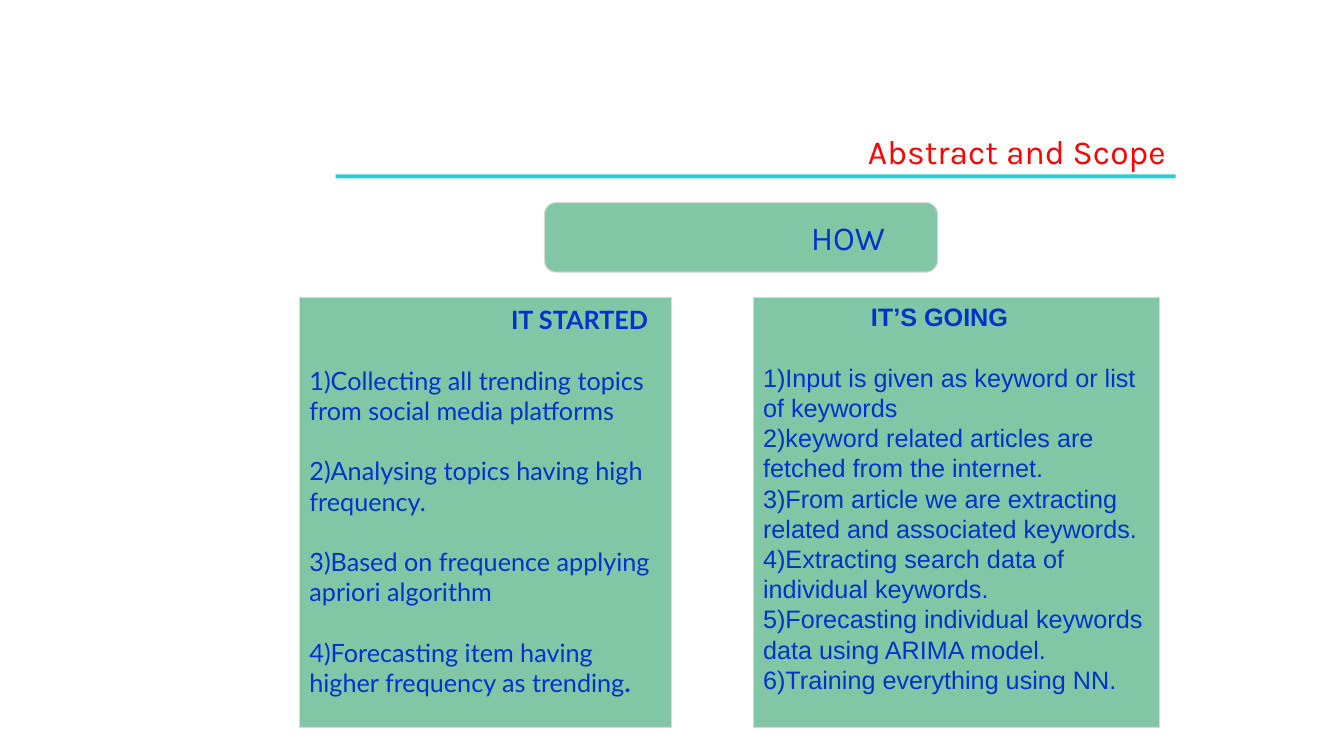
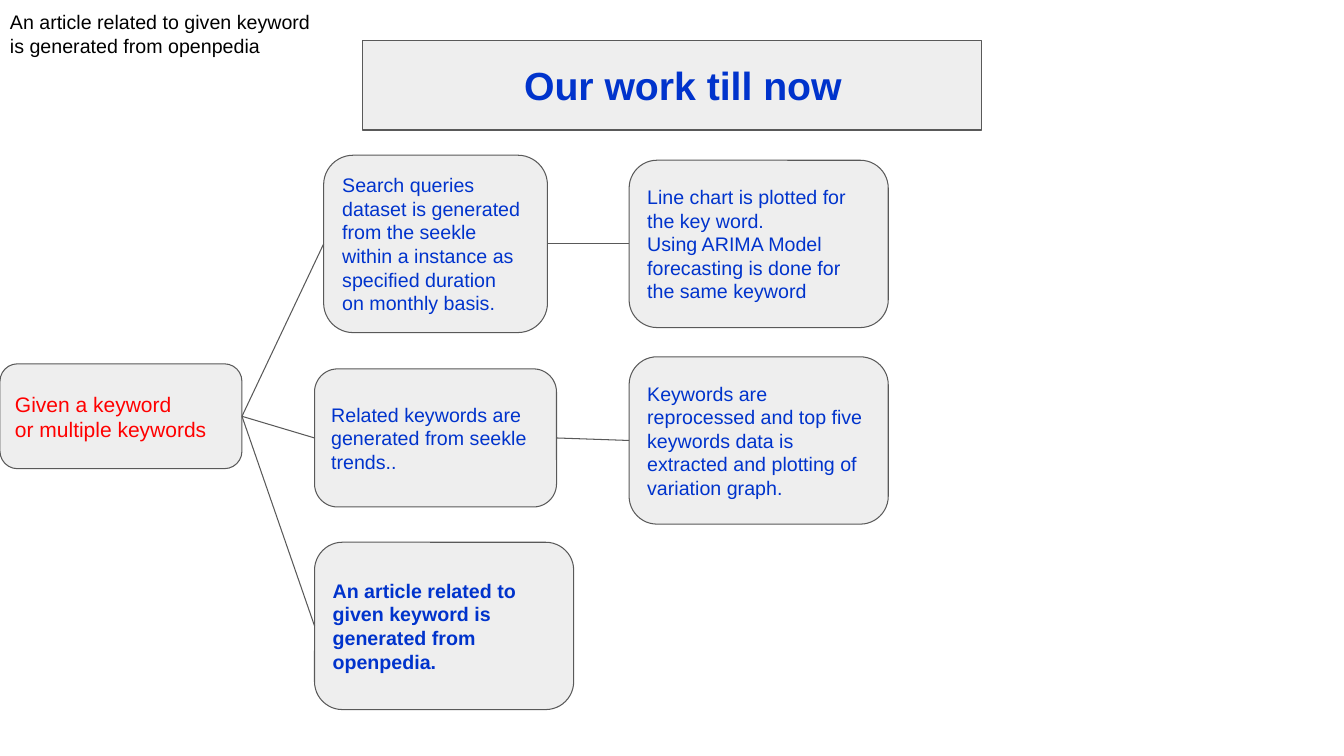
from dataclasses import dataclass

from pptx import Presentation
from pptx.dml.color import RGBColor
from pptx.enum.shapes import MSO_CONNECTOR as Link, MSO_SHAPE as Shape
from pptx.enum.text import MSO_ANCHOR as Anchor, PP_ALIGN as Align
from pptx.oxml.ns import qn
from pptx.util import Emu, Pt
from lxml.etree import SubElement

PX = 9144  # EMU in one px, 100 px to the inch
LINE_HEIGHT = 1.2
COLORS = {
    "blue": "0033CC", "red": "FF0000", "black": "000000", "teal": "33CCCC",
    "green": "82C7A5", "silver": "D9D9D9", "gray": "EEEEEE", "dark": "595959",
}


@dataclass(frozen=True)
class Para:
    text: str
    bold: bool = False
    indent: int = 0
    gap: bool = False  # one empty line's height below
    tail: str = ""  # bold ending


@dataclass(frozen=True)
class Font:
    size: int
    name: str = "Arial"
    color: str = "blue"


@dataclass(frozen=True)
class Box:
    left: int
    top: int
    width: int
    height: int
    paras: tuple[Para, ...]
    font: Font
    fill: str = "gray"
    line: str = "dark"
    kind: int = Shape.ROUNDED_RECTANGLE
    anchor: int = Anchor.MIDDLE
    inset_top: int = 10


def px(n: int) -> Emu:
    return Emu(n * PX)


def rgb(name: str) -> RGBColor:
    return RGBColor.from_string(COLORS[name])


def lines(*texts: str, bold: bool = False) -> tuple[Para, ...]:
    return tuple(Para(t, bold) for t in texts)


def add_run(p, text: str, font: Font, bold: bool) -> None:
    r = p.add_run()
    r.text = text
    r.font.size, r.font.name, r.font.bold = Pt(font.size), font.name, bold
    r.font.color.rgb = rgb(font.color)


def write(s, paras: tuple[Para, ...], font: Font, align=Align.LEFT,
          anchor=Anchor.TOP, inset_top: int = 10) -> None:
    tf = s.text_frame
    tf.word_wrap = True
    tf.vertical_anchor = anchor
    tf.margin_left = tf.margin_right = tf.margin_bottom = px(10)
    tf.margin_top = px(inset_top)
    for i, para in enumerate(paras):
        p = tf.add_paragraph() if i else tf.paragraphs[0]
        p.alignment = align
        p.line_spacing = Pt(font.size * LINE_HEIGHT)
        if para.gap:
            p.space_after = Pt(font.size * LINE_HEIGHT)
        if para.indent:
            p._p.get_or_add_pPr().set("marL", str(px(para.indent)))
        add_run(p, para.text, font, para.bold)
        if para.tail:
            add_run(p, para.tail, font, True)


def add_box(slide, box: Box):
    s = slide.shapes.add_shape(box.kind, px(box.left), px(box.top),
                               px(box.width), px(box.height))
    s.shadow.inherit = False
    s.fill.solid()
    s.fill.fore_color.rgb = rgb(box.fill)
    s.line.color.rgb = rgb(box.line)
    s.line.width = Pt(0.75)
    write(s, box.paras, box.font, anchor=box.anchor, inset_top=box.inset_top)
    return s


def add_text(slide, left: int, top: int, width: int, height: int,
             text: str, font: Font, align=Align.LEFT, inset_top: int = 10) -> None:
    s = slide.shapes.add_textbox(px(left), px(top), px(width), px(height))
    write(s, lines(text), font, align, inset_top=inset_top)


def add_link(slide, start, end) -> None:
    """Join the right side of one box to the left side of the next."""
    c = slide.shapes.add_connector(Link.STRAIGHT, 0, 0, 0, 0)
    c.begin_connect(start, 3)
    c.end_connect(end, 1)
    c.line.color.rgb = rgb("dark")
    c.line.width = Pt(0.75)
    SubElement(c._element.spPr, qn("a:effectLst"))


STARTED = (
    Para("IT STARTED", bold=True, indent=200, gap=True),
    Para("1)Collecting all trending topics from social media platforms", gap=True),
    Para("2)Analysing topics having high frequency.", gap=True),
    Para("3)Based on frequence applying apriori algorithm", gap=True),
    Para("4)Forecasting item having higher frequency as trending", tail="."),
)
GOING = (Para("IT’S GOING", bold=True, indent=107, gap=True),) + lines(
    "1)Input is given as keyword or list of keywords",
    "2)keyword related articles are fetched from the internet.",
    "3)From article we are extracting related and associated keywords.",
    "4)Extracting search data of individual keywords.",
    "5)Forecasting individual keywords data using ARIMA model.",
    "6)Training everything using NN.",
)
GREEN = dict(fill="green", line="silver")
PANEL = dict(kind=Shape.RECTANGLE, anchor=Anchor.TOP, **GREEN)
SCOPE_BOXES = (
    Box(540, 201, 390, 69, (Para("HOW", indent=251),), Font(24, "Karla"), **GREEN),
    Box(297, 295, 369, 427, STARTED, Font(18, "Lato"), inset_top=7, **PANEL),
    Box(747, 295, 403, 427, GOING, Font(18), inset_top=4, **PANEL),
)

BODY = Font(14)
WORK_TITLE = Box(360, 40, 614, 89, (Para("Our work till now", bold=True, indent=150),),
                 Font(28), kind=Shape.RECTANGLE)
WORK_BOXES = {
    "keyword": Box(0, 361, 240, 104, lines("Given a keyword", "or multiple keywords"),
                   Font(15, color="red")),
    "queries": Box(321, 154, 222, 176, lines(
        "Search queries dataset is generated from the seekle",
        "within a instance as", "specified duration", "on monthly basis."), BODY),
    "related": Box(312, 366, 240, 137, lines(
        "Related keywords are generated from seekle trends.."), BODY),
    "article": Box(312, 538, 257, 166, lines(
        "An article related to given keyword is generated from openpedia.",
        bold=True), BODY),
    "forecast": Box(624, 159, 257, 166, lines(
        "Line chart is plotted for the key word.",
        "Using ARIMA Model forecasting is done for the same keyword"), BODY),
    "variation": Box(624, 354, 257, 166, lines(
        "Keywords are reprocessed and top five keywords data is extracted "
        "and plotting of variation graph."), BODY),
}
WORK_LINKS = (
    ("keyword", "queries"), ("keyword", "related"), ("keyword", "article"),
    ("queries", "forecast"), ("related", "variation"),
)


def build_scope(slide) -> None:
    # Title and its rule
    rule = slide.shapes.add_shape(Shape.RECTANGLE, px(333), px(173), px(833), px(4))
    rule.shadow.inherit = False
    rule.fill.solid()
    rule.fill.fore_color.rgb = rgb("teal")
    rule.line.fill.background()
    add_text(slide, 458, 125, 708, 50, "Abstract and Scope",
             Font(24, "Karla", "red"), Align.RIGHT, inset_top=5)
    # Heading and two panels
    for box in SCOPE_BOXES:
        add_box(slide, box)


def build_work(slide) -> None:
    add_box(slide, WORK_TITLE)
    add_text(slide, 0, 0, 328, 67,
             "An article related to given keyword is generated from openpedia",
             Font(14, color="black"))
    # Flow of boxes
    nodes = {name: add_box(slide, box) for name, box in WORK_BOXES.items()}
    for start, end in WORK_LINKS:
        add_link(slide, nodes[start], nodes[end])


def main() -> None:
    prs = Presentation()
    prs.slide_width, prs.slide_height = px(1333), px(750)
    for build in (build_scope, build_work):
        build(prs.slides.add_slide(prs.slide_layouts[6]))
    prs.save("out.pptx")


if __name__ == "__main__":
    main()
